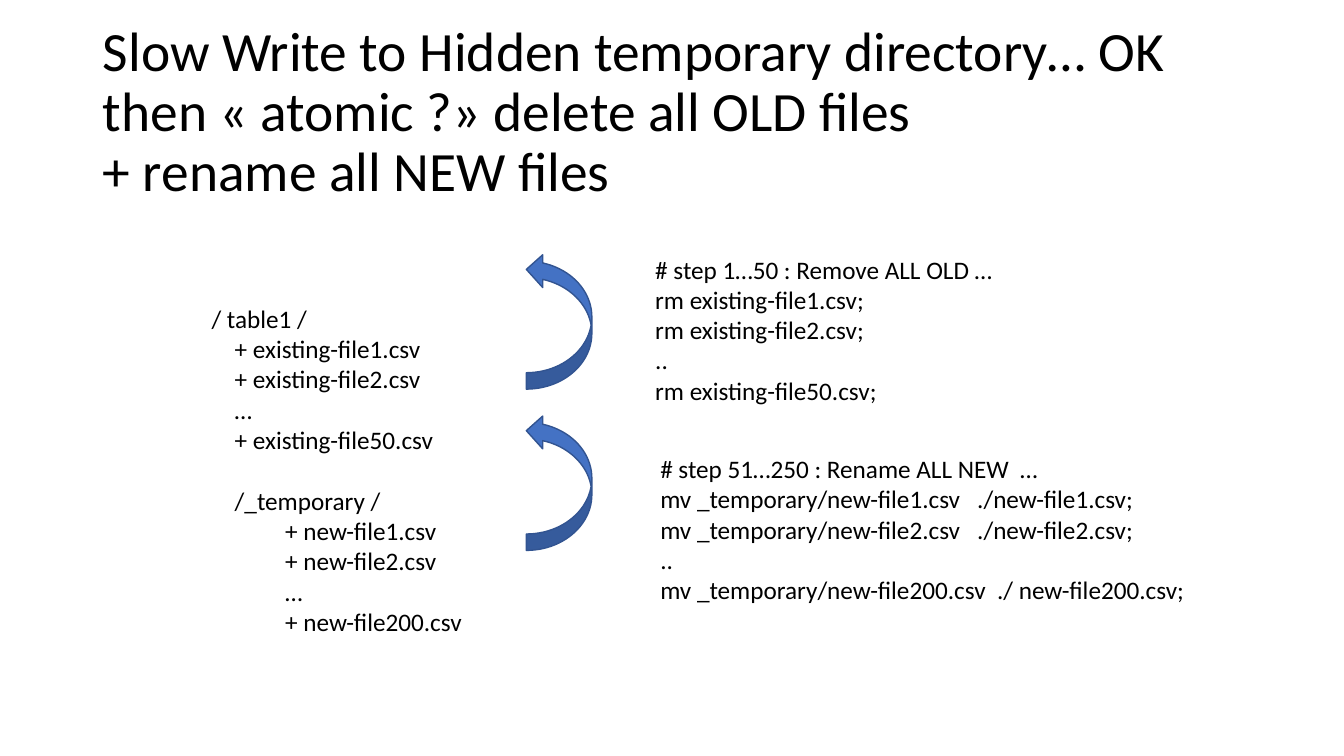
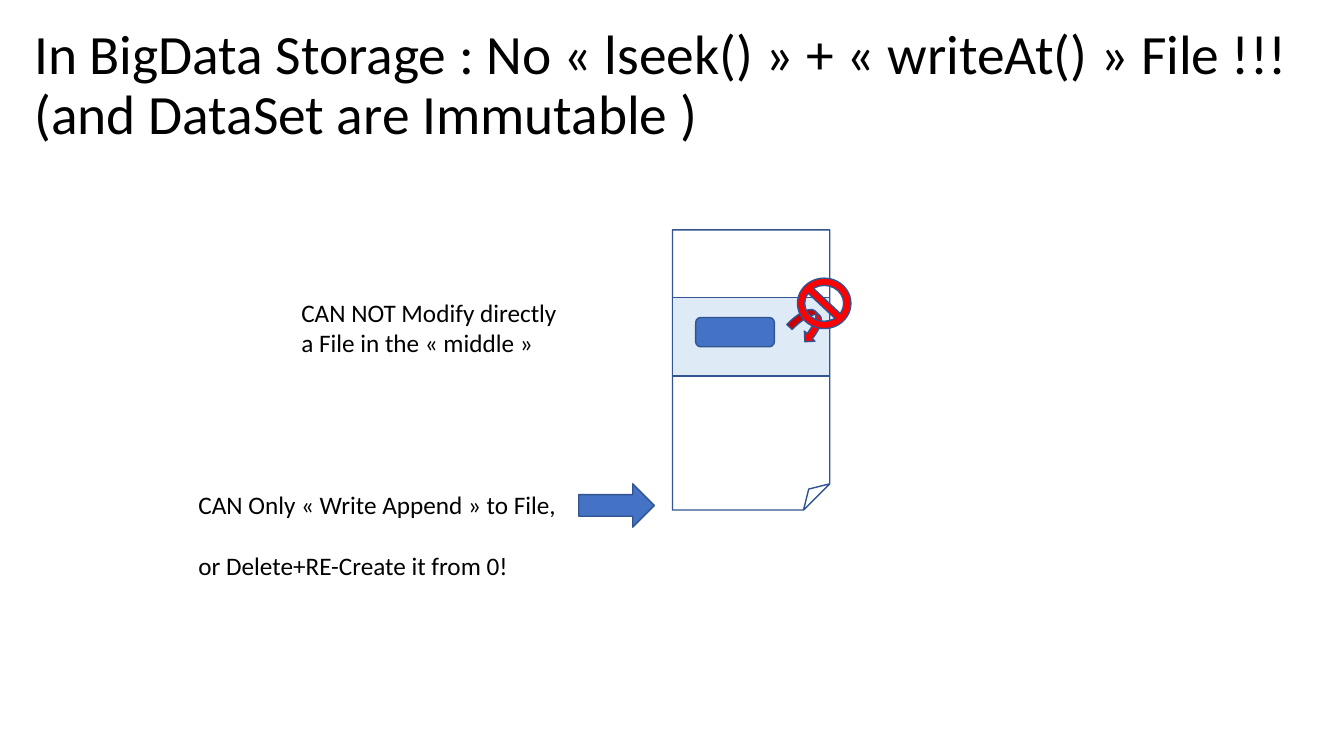
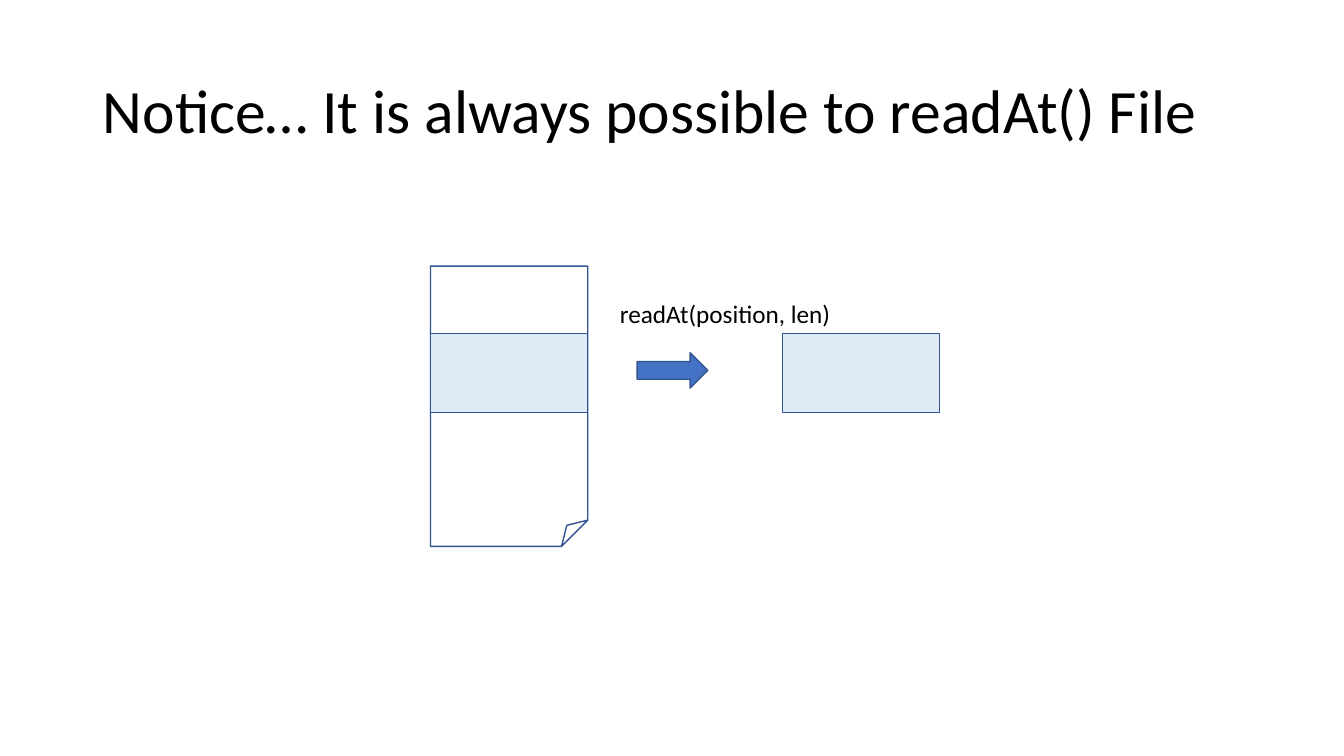
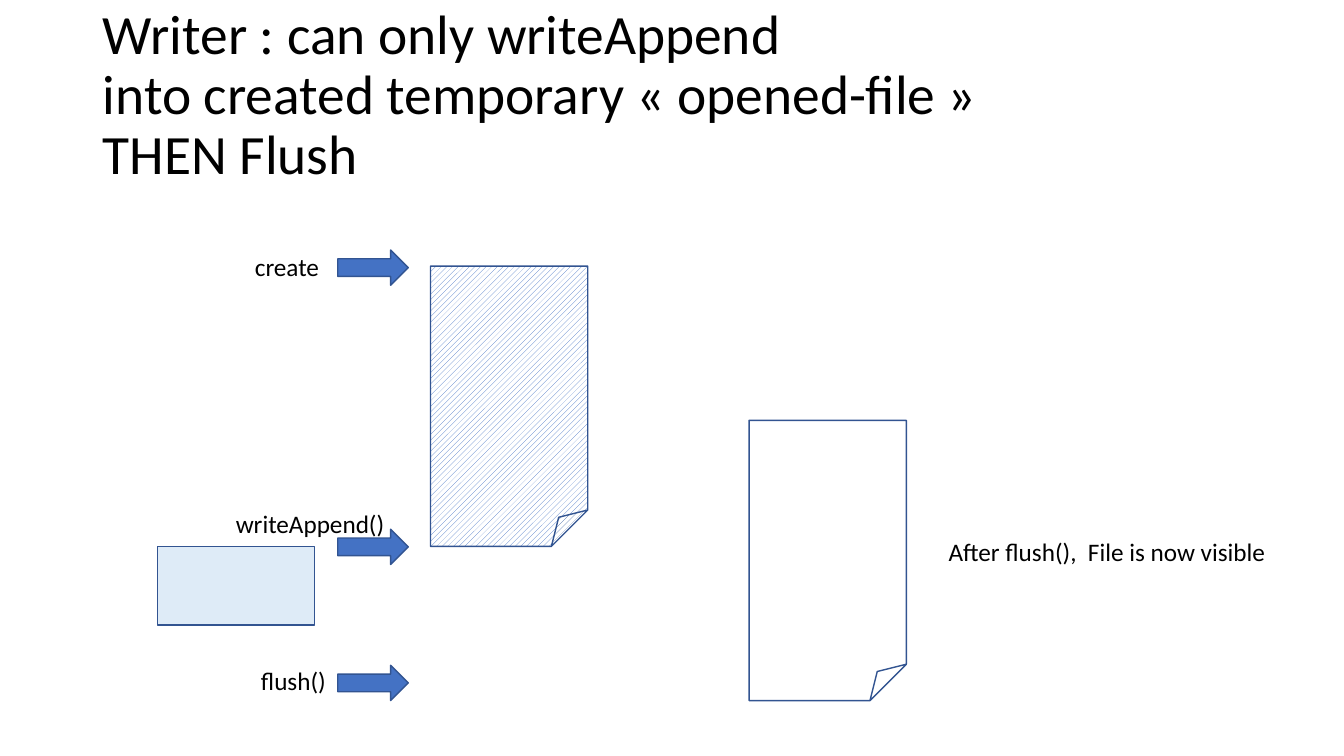
from lxml import etree
from pptx import Presentation
from pptx.dml.color import RGBColor
from pptx.enum.dml import MSO_PATTERN
from pptx.enum.shapes import MSO_SHAPE
from pptx.enum.text import MSO_ANCHOR, MSO_AUTO_SIZE, PP_ALIGN
from pptx.oxml.ns import qn
from pptx.util import Emu, Pt

# Shared style
PX = 9144  # 100 px to the inch
SLIDE_W, SLIDE_H = 1333, 750
TITLE_ONLY = 5
FONT = "Calibri"
BODY_PT = 18
TITLE_PT = 39.6
LINE_PT = 22  # height of one body line
TITLE_BOX = (92, 40, 1150, 145)

BLACK = RGBColor(0x00, 0x00, 0x00)
WHITE = RGBColor(0xFF, 0xFF, 0xFF)
BLUE = RGBColor(0x44, 0x72, 0xC4)
OUTLINE = RGBColor(0x32, 0x54, 0x91)
PALE_BLUE = RGBColor(0xDE, 0xEB, 0xF7)
RED = RGBColor(0xFF, 0x00, 0x00)

FOLDED_CORNER = MSO_SHAPE.FOLDED_CORNER
RECTANGLE = MSO_SHAPE.RECTANGLE
ROUNDED = MSO_SHAPE.ROUNDED_RECTANGLE
RIGHT_ARROW = MSO_SHAPE.RIGHT_ARROW
CURVED_RIGHT = MSO_SHAPE.CURVED_RIGHT_ARROW
CURVED_DOWN = MSO_SHAPE.CURVED_DOWN_ARROW
NO_SYMBOL = MSO_SHAPE.NO_SYMBOL
HATCH = MSO_PATTERN.WIDE_UPWARD_DIAGONAL
LEFT = PP_ALIGN.LEFT
TOP, MIDDLE = MSO_ANCHOR.TOP, MSO_ANCHOR.MIDDLE
NO_AUTOFIT = MSO_AUTO_SIZE.NONE

# Sizes that recur
FILE_W, FILE_H = 156, 278
CHUNK_H = 78
CHUNK_OFFSET = 67
ARROW_W, ARROW_H = 70, 35


def px(*lengths):
    return [Emu(length * PX) for length in lengths]


def write(frame, text, size=BODY_PT, anchor=TOP, spacing=None):
    """Fill a frame with one string, or a list of paragraphs."""
    frame.word_wrap = True
    frame.auto_size = NO_AUTOFIT
    frame.vertical_anchor = anchor
    paragraphs = [text] if isinstance(text, str) else text
    for number, words in enumerate(paragraphs):
        para = frame.add_paragraph() if number else frame.paragraphs[0]
        para.text = words
        para.alignment = LEFT
        para.line_spacing = spacing
        for run in para.runs:
            run.font.name = FONT
            run.font.size = Pt(size)
            run.font.color.rgb = BLACK
    return frame.paragraphs


def add_titled_slide(prs, title, box=TITLE_BOX, size=TITLE_PT):
    slide = prs.slides.add_slide(prs.slide_layouts[TITLE_ONLY])
    holder = slide.shapes.title
    holder.left, holder.top, holder.width, holder.height = px(*box)
    write(holder.text_frame, title, size=size, anchor=MIDDLE, spacing=0.9)
    return slide


def add_text(slide, box, text):
    return write(slide.shapes.add_textbox(*px(*box)).text_frame, text)


def set_adjustment(figure, share):
    """Set the one guide of a preset that has no listed adjustments."""
    guides = next(figure._element.iter(qn("a:avLst")))
    for guide in list(guides):
        guides.remove(guide)
    etree.SubElement(guides, qn("a:gd"), name="adj",
                     fmla=f"val {round(share * 100000)}")


def add_figure(slide, preset, box, fill=BLUE, rotation=0, adjust=None):
    figure = slide.shapes.add_shape(preset, *px(*box))
    figure.shadow.inherit = False
    figure.rotation = rotation
    if adjust is not None:
        set_adjustment(figure, adjust)
    if fill is None:
        figure.fill.background()
    else:
        figure.fill.solid()
        figure.fill.fore_color.rgb = fill
    figure.line.color.rgb = OUTLINE
    figure.line.width = Pt(1)
    return figure


def add_file(slide, x, y, adjust=None):
    return add_figure(slide, FOLDED_CORNER, (x, y, FILE_W, FILE_H),
                      fill=None, adjust=adjust)


def add_chunk(slide, x, y):
    add_figure(slide, RECTANGLE, (x, y, FILE_W, CHUNK_H), fill=PALE_BLUE)


def add_arrow(slide, x, y, w=ARROW_W, h=ARROW_H):
    add_figure(slide, RIGHT_ARROW, (x, y, w, h))


def build_rename_slide(prs):
    slide = add_titled_slide(
        prs, "Slow Write to Hidden temporary directory… OK\n"
             "then « atomic ?» delete all OLD files\n+ rename all NEW files")

    # Directory tree: indent in px, then entry
    tree = [
        (0, "/ table1 /"),
        (23, "+ existing-file1.csv"),
        (23, "+ existing-file2.csv"),
        (23, "…"),
        (23, "+ existing-file50.csv"),
        (23, "/_temporary /"),
        (73, "+ new-file1.csv"),
        (73, "+ new-file2.csv"),
        (73, "…"),
        (73, "+ new-file200.csv"),
    ]
    entries = add_text(slide, (200, 296, 290, 343), [name for _, name in tree])
    for entry, (indent, name) in zip(entries, tree):
        entry._p.get_or_add_pPr().set("marL", str(indent * PX))
        if name.startswith("/_"):
            entry.space_before = Pt(LINE_PT)

    # Move arrows
    for y in (411, 251):
        add_figure(slide, CURVED_RIGHT, (522, y, 65, 135), rotation=180)

    # Commands
    add_text(slide, (640, 247, 382, 162), [
        "# step 1…50 : Remove ALL OLD …",
        "rm existing-file1.csv;",
        "rm existing-file2.csv;",
        "..",
        "rm existing-file50.csv;",
    ])
    add_text(slide, (645, 445, 548, 162), [
        "# step 51…250 : Rename ALL NEW  …",
        "mv _temporary/new-file1.csv   ./new-file1.csv;",
        "mv _temporary/new-file2.csv   ./new-file2.csv;",
        "..",
        "mv _temporary/new-file200.csv  ./ new-file200.csv;",
    ])


def build_immutable_slide(prs):
    slide = add_titled_slide(
        prs, "In BigData Storage : No « lseek() » + « writeAt() » File !!!\n"
             "(and DataSet are Immutable )", box=(24, 40, 1286, 92))

    # File with a forbidden change in the middle
    file_x, file_y = 667, 228
    add_file(slide, file_x, file_y)
    add_chunk(slide, file_x, file_y + CHUNK_OFFSET)
    add_figure(slide, ROUNDED, (690, 315, 78, 29))
    add_figure(slide, CURVED_DOWN, (786, 308, 32, 29), fill=RED, rotation=43.7)
    add_figure(slide, NO_SYMBOL, (791, 276, 53, 50), fill=RED, adjust=0.144)
    add_text(slide, (289, 290, 282, 71),
             ["CAN NOT Modify directly", "a File in the « middle »"])

    # Allowed append
    add_arrow(slide, 574, 480, w=75, h=43)
    allowed = add_text(slide, (187, 480, 377, 101),
                       ["CAN Only « Write Append » to File,",
                        "or Delete+RE-Create it from 0!"])
    allowed[1].space_before = Pt(LINE_PT)


def build_read_slide(prs):
    slide = add_titled_slide(
        prs, "Notice… It is always possible to readAt() File", size=44)
    file_x, file_y = 427, 264
    chunk_y = file_y + CHUNK_OFFSET
    add_file(slide, file_x, file_y)
    for x in (file_x, 776):
        add_chunk(slide, x, chunk_y)
    add_arrow(slide, 632, 350)
    add_text(slide, (605, 291, 452, 40), "readAt(position, len)")


def build_writer_slide(prs):
    slide = add_titled_slide(
        prs, "Writer : can only writeAppend\n"
             "into created temporary « opened-file »\nTHEN Flush",
        box=(92, 6, 1150, 179))

    # Temporary file, still hidden
    opened_file = add_file(slide, 427, 264, adjust=0.231)
    opened_file.fill.patterned()
    opened_file.fill.pattern = HATCH
    opened_file.fill.fore_color.rgb = BLUE
    opened_file.fill.back_color.rgb = WHITE

    # Writer calls
    add_chunk(slide, 156, 542)
    calls = [
        ("create", (243, 244, 90, 40), 248),
        ("writeAppend()", (224, 499, 187, 40), 525),
        ("flush()", (249, 655, 90, 40), 660),
    ]
    for call, box, arrow_y in calls:
        add_arrow(slide, 335, arrow_y)
        add_text(slide, box, call)

    # Visible file
    add_file(slide, 743, 417, adjust=0.231)
    add_text(slide, (931, 527, 345, 40), "After flush(),  File is now visible")


def main():
    prs = Presentation()
    prs.slide_width, prs.slide_height = px(SLIDE_W, SLIDE_H)
    build_rename_slide(prs)
    build_immutable_slide(prs)
    build_read_slide(prs)
    build_writer_slide(prs)
    prs.save("out.pptx")


if __name__ == "__main__":
    main()
